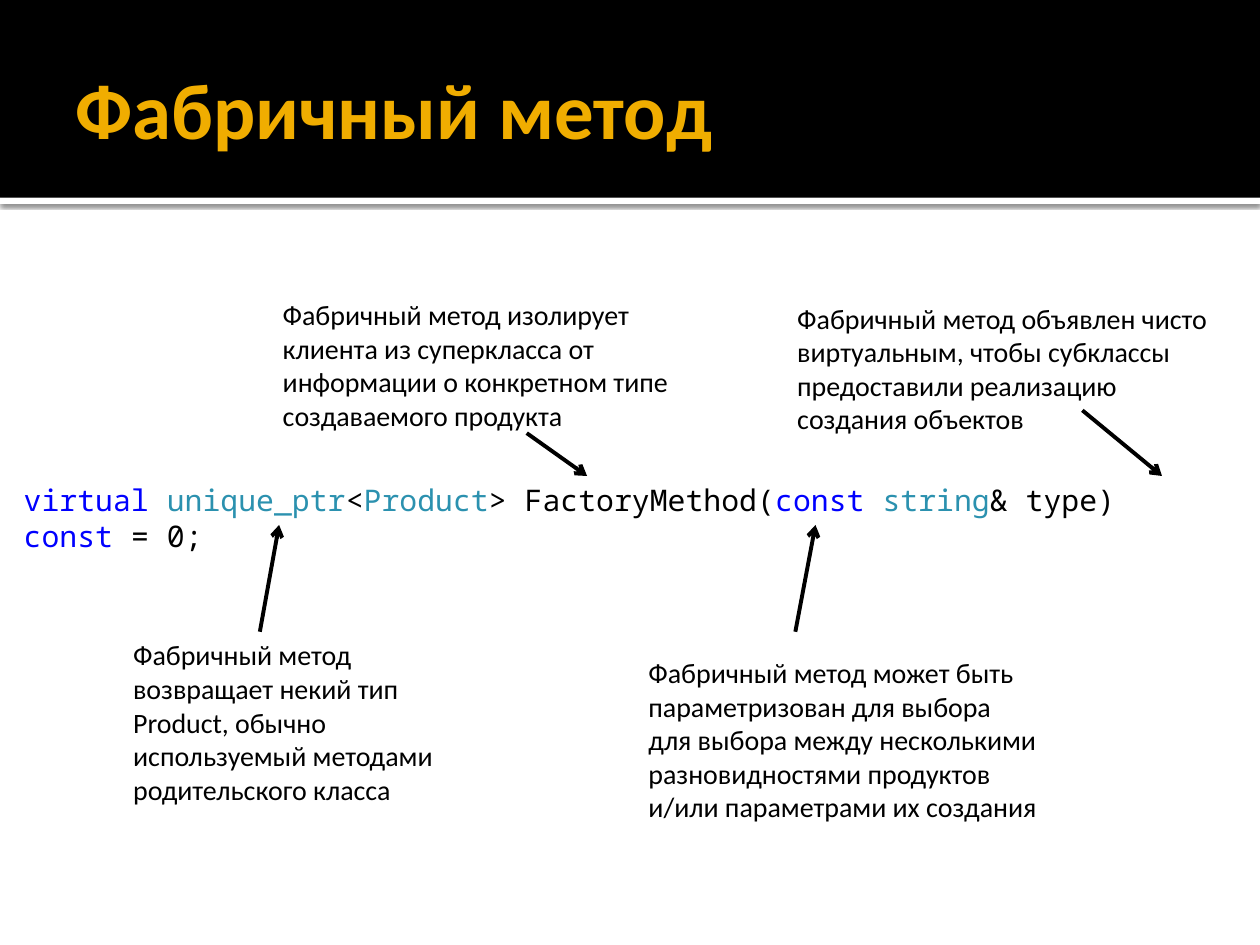
from lxml import etree
from pptx import Presentation
from pptx.dml.color import RGBColor
from pptx.enum import shapes, text
from pptx.oxml import ns
from pptx.util import Pt

# Content
TITLE = "Фабричный метод"
CODE = [
    ("virtual ", "keyword"), ("unique_ptr", "type"), ("<", "ink"),
    ("Product", "type"), ("> FactoryMethod(", "ink"), ("const ", "keyword"),
    ("string", "type"), ("& type) ", "ink"), ("const", "keyword"),
    (" = 0;", "ink"),
]
# Each note: words, box (left, top, width, height), arrow start and end
NOTES = [
    ("Фабричный метод возвращает некий тип Product, обычно используемый "
     "методами родительского класса",
     (69, 361, 209.5, 104.5), (148.5, 361), (159.5, 300)),
    ("Фабричный метод изолирует клиента из суперкласса от информации "
     "о конкретном типе создаваемого продукта",
     (154.5, 166.5, 249, 85), (301, 247.5), (335.5, 272)),
    ("Фабричный метод может быть параметризован для выбора\n"
     "для выбора между несколькими разновидностями продуктов "
     "и/или параметрами их создания",
     (363.5, 371, 238.5, 104.5), (454.5, 361), (466, 300)),
    ("Фабричный метод объявлен чисто виртуальным, чтобы субклассы "
     "предоставили реализацию создания объектов",
     (448.5, 168.5, 255, 85), (618.5, 234.5), (664, 272)),
]
WIDTH, HEIGHT, HEADER, RULE = 720, 540, 113, 3.6
TITLE_BOX = (36, 12.5, 648, 98.5)
CODE_BOX = (6.5, 272, 698, 28)
THEME = {
    "ink": "000000", "paper": "FFFFFF", "accent": "F0AD00",
    "keyword": "0000FF", "type": "2B91AF",
    "font": "Calibri", "mono": "Noto Sans Mono",
    "title_size": 45, "code_size": 17, "note_size": 16, "arrow": 2.25,
}


def colour(name):
    return RGBColor.from_string(THEME[name])


def points(values):
    return [Pt(value) for value in values]


def add_span(para, words, size, ink="ink", font="font", bold=False):
    span = para.add_run()
    span.text = words
    span.font.name = THEME[font]
    span.font.size = Pt(THEME[size])
    span.font.bold = bold
    span.font.color.rgb = colour(ink)


def add_box(page, place):
    frame = page.shapes.add_textbox(*points(place)).text_frame
    frame.word_wrap = True
    return frame.paragraphs[0]


def add_band(page, top, height, fill):
    band = page.shapes.add_shape(
        shapes.MSO_SHAPE.RECTANGLE, *points((0, top, WIDTH, height)))
    band.fill.solid()
    band.fill.fore_color.rgb = colour(fill)
    band.line.fill.background()
    band.shadow.inherit = False
    return band


def add_effects(shape, name, **settings):
    return etree.SubElement(shape, ns.qn(name), settings)


def add_arrow(page, start, end):
    arrow = page.shapes.add_connector(
        shapes.MSO_CONNECTOR.STRAIGHT, *points(start + end))
    arrow.line.color.rgb = colour("ink")
    arrow.line.width = Pt(THEME["arrow"])
    add_effects(arrow.line._get_or_add_ln(), "a:tailEnd", type="arrow")
    add_effects(arrow._element.spPr, "a:effectLst")


def main():
    deck = Presentation()
    deck.slide_width, deck.slide_height = Pt(WIDTH), Pt(HEIGHT)
    page = deck.slides.add_slide(deck.slide_layouts[5])

    # Header band and the white rule with its soft shadow
    rule = add_band(page, HEADER, RULE, "paper")
    shadow = add_effects(
        rule._element.spPr.find(ns.qn("a:effectLst")), "a:outerShdw",
        blurRad=str(Pt(2.5)), dist=str(Pt(0.8)), dir="5400000",
        algn="tl", rotWithShape="0")
    tint = add_effects(shadow, "a:srgbClr", val=THEME["ink"])
    add_effects(tint, "a:alpha", val="60000")
    add_band(page, 0, HEADER, "ink")

    # Title, brought in front of the header
    title = page.shapes.title
    title.left, title.top, title.width, title.height = points(TITLE_BOX)
    page.shapes._spTree.append(title._element)
    frame = title.text_frame
    frame.vertical_anchor = text.MSO_ANCHOR.MIDDLE
    frame.margin_left = Pt(7.2)
    frame.margin_right = frame.margin_top = frame.margin_bottom = Pt(3.6)
    frame.paragraphs[0].alignment = text.PP_ALIGN.LEFT
    add_span(frame.paragraphs[0], TITLE, "title_size", "accent", bold=True)

    # Code line
    para = add_box(page, CODE_BOX)
    for words, ink in CODE:
        add_span(para, words, "code_size", ink, "mono")

    # Notes with their arrows
    for words, place, start, end in NOTES:
        para = add_box(page, place)
        for number, line in enumerate(words.split("\n")):
            if number:
                para.add_line_break()
            add_span(para, line, "note_size")
        add_arrow(page, start, end)

    deck.save("out.pptx")


if __name__ == "__main__":
    main()
